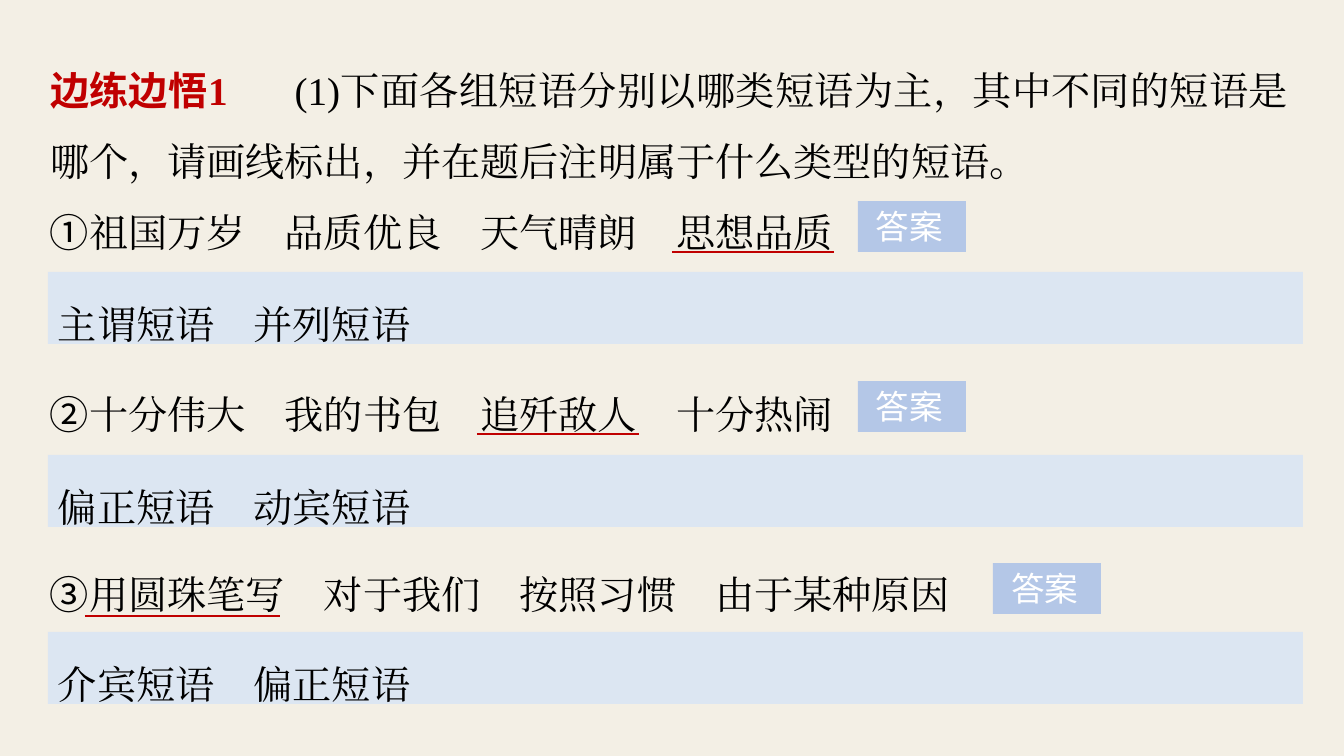
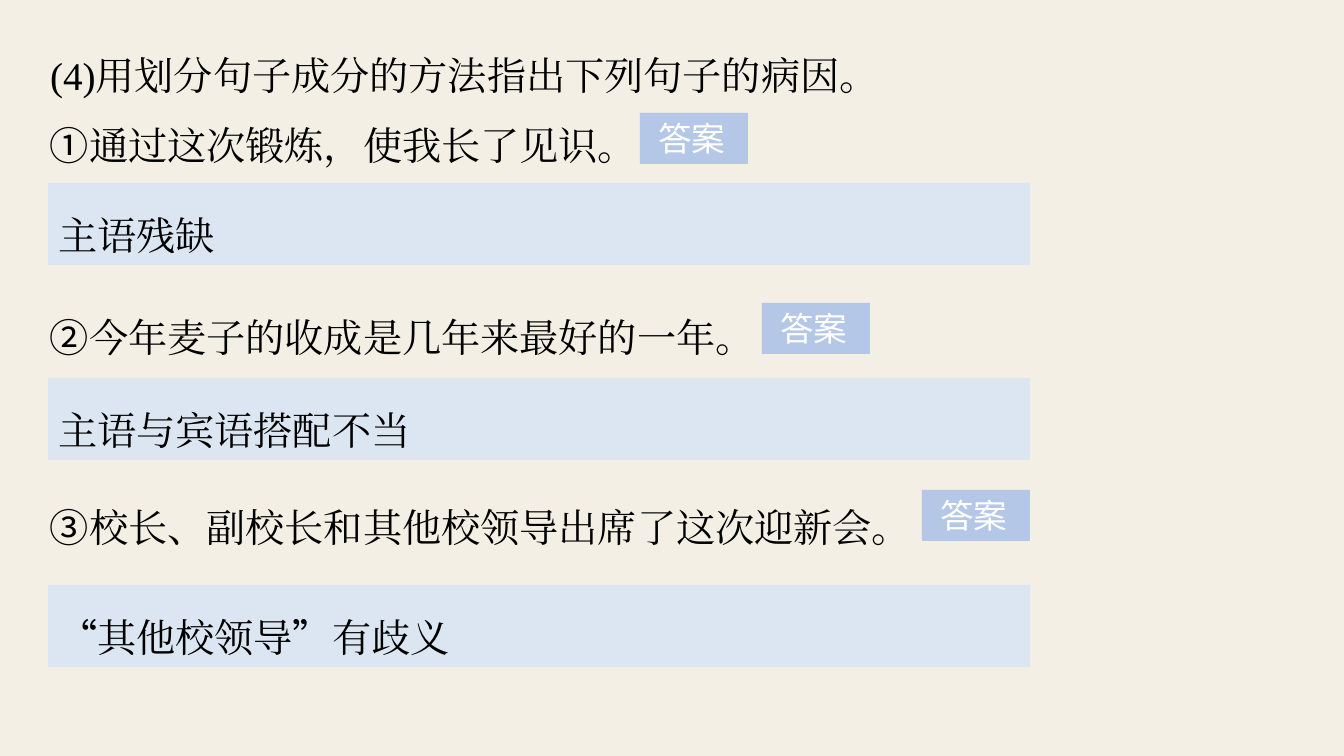
from dataclasses import dataclass
from itertools import groupby

from lxml import etree
from pptx import Presentation
from pptx.dml.color import RGBColor
from pptx.enum.shapes import MSO_CONNECTOR, MSO_SHAPE
from pptx.enum.text import MSO_ANCHOR, MSO_AUTO_SIZE, PP_ALIGN
from pptx.oxml.ns import qn
from pptx.util import Pt

RECT, LINE = MSO_SHAPE.RECTANGLE, MSO_CONNECTOR.STRAIGHT
TOP, NO_FIT = MSO_ANCHOR.TOP, MSO_AUTO_SIZE.NONE
LEFT, JUSTIFY = PP_ALIGN.LEFT, PP_ALIGN.JUSTIFY
TITLE_ONLY = 5
SLIDE_W, SLIDE_H = 1344, 756
EMU_PER_PX = 12192000 / SLIDE_W


@dataclass(frozen=True)
class Theme:
    paper: str = "F3EFE5"
    ink: str = "000000"
    accent: str = "C00000"
    answer: str = "DCE6F2"
    badge: str = "B4C7E7"
    white: str = "FFFFFF"
    body_font: str = "Times New Roman"
    label_font: str = "Arial"
    mark_font: str = "Noto Sans CJK SC"
    body_size: int = 28
    badge_size: int = 24
    line_spacing: float = 1.5
    rule_width: float = 1.5


T = Theme()
MARKS = "①②③“”"
TEXT_X, TEXT_W = 37, 1265
ANSWER_X = 48
BADGE_W, BADGE_H = 108, 51


def px(n):
    return round(n * EMU_PER_PX)


def rgb(value):
    return RGBColor.from_string(value)


# Text helpers
def add_run(p, text, font, size, color, bold=False):
    r = p.add_run()
    r.text = text
    r.font.size, r.font.bold = Pt(size), bold
    r.font.color.rgb = rgb(color)
    r.font.name = font
    ea = etree.SubElement(r.font._element, qn("a:ea"))
    ea.set("typeface", font)


def add_body(p, text):
    """Body text, with numerals in circles and quotes in the mark font."""
    for is_mark, chars in groupby(text, lambda c: c in MARKS):
        font = T.mark_font if is_mark else T.body_font
        add_run(p, "".join(chars), font, T.body_size, T.ink)


def set_frame(sp, inset_x, inset_y, align=JUSTIFY, spacing=T.line_spacing):
    tf = sp.text_frame
    tf.word_wrap, tf.auto_size, tf.vertical_anchor = True, NO_FIT, TOP
    tf.margin_left = tf.margin_right = px(inset_x)
    tf.margin_top = tf.margin_bottom = px(inset_y)
    p = tf.paragraphs[0]
    p.alignment, p.line_spacing = align, spacing
    return p


def add_panel(slide, x, y, w, h, color):
    sp = slide.shapes.add_shape(RECT, px(x), px(y), px(w), px(h))
    sp.shadow.inherit = False
    sp.fill.solid()
    sp.fill.fore_color.rgb = rgb(color)
    sp.line.fill.background()
    return sp


# Question stem
def place_stem(slide, y, h, stem, label=None):
    title = slide.shapes.title
    title.left, title.top = px(TEXT_X), px(y)
    title.width, title.height = px(TEXT_W), px(h)
    p = set_frame(title, 13, 7)
    if label:
        tabs = etree.SubElement(p._p.get_or_add_pPr(), qn("a:tabLst"))
        etree.SubElement(tabs, qn("a:tab"), pos=str(px(243)), algn="l")
        text, number = label
        add_run(p, text, T.label_font, T.body_size, T.accent, True)
        add_run(p, number + "\t", T.body_font, T.body_size, T.accent, True)
    add_body(p, stem)


# Parts of one exercise
def add_question(slide, y, text):
    sp = slide.shapes.add_textbox(px(TEXT_X), px(y), px(TEXT_W), px(85))
    add_body(set_frame(sp, 13, 7), text)


def add_answer(slide, y, w, h, text):
    sp = add_panel(slide, ANSWER_X, y, w, h, T.answer)
    add_body(set_frame(sp, 10, 5), text)


def add_badge(slide, x, y):
    sp = add_panel(slide, x, y, BADGE_W, BADGE_H, T.badge)
    p = set_frame(sp, 18, 5, LEFT, 1.0)
    add_run(p, "答案", T.label_font, T.badge_size, T.white)


def add_underline(slide, x1, x2, y):
    line = slide.shapes.add_connector(LINE, px(x1), px(y), px(x2), px(y))
    line.line.color.rgb = rgb(T.accent)
    line.line.width = Pt(T.rule_width)
    etree.SubElement(line._element.spPr, qn("a:effectLst"))


@dataclass(frozen=True)
class Exercise:
    y: int
    question: str
    answer: str
    badge_x: int
    badge_dy: int
    answer_dy: int
    underline: tuple = ()  # start x, end x, offset from y


def place_exercise(slide, ex, answer_w, answer_h):
    add_question(slide, ex.y, ex.question)
    add_answer(slide, ex.y + ex.answer_dy, answer_w, answer_h, ex.answer)
    add_badge(slide, ex.badge_x, ex.y + ex.badge_dy)
    if ex.underline:
        x1, x2, dy = ex.underline
        add_underline(slide, x1, x2, ex.y + dy)


def exercise_slide(prs, stem, exercises, answer_size):
    slide = prs.slides.add_slide(prs.slide_layouts[TITLE_ONLY])
    place_stem(slide, *stem)
    for ex in exercises:
        place_exercise(slide, ex, *answer_size)


# Content
PHRASE_STEM = (
    36, 155,
    "(1)下面各组短语分别以哪类短语为主，其中不同的短语是哪个，"
    "请画线标出，并在题后注明属于什么类型的短语。",
    ("边练边悟", "1"),
)
PHRASES = [
    Exercise(178, "①祖国万岁　品质优良　天气晴朗　思想品质",
             "主谓短语　并列短语", 858, 23, 94, (672, 834, 74)),
    Exercise(360, "②十分伟大　我的书包　追歼敌人　十分热闹",
             "偏正短语　动宾短语", 858, 21, 95, (477, 639, 74)),
    Exercise(540, "③用圆珠笔写　对于我们　按照习惯　由于某种原因",
             "介宾短语　偏正短语", 993, 23, 92, (85, 280, 76)),
]
SENTENCE_STEM = (21, 85, "(4)用划分句子成分的方法指出下列句子的病因。")
SENTENCES = [
    Exercise(91, "①通过这次锻炼，使我长了见识。",
             "主语残缺", 640, 22, 92),
    Exercise(283, "②今年麦子的收成是几年来最好的一年。",
             "主语与宾语搭配不当", 762, 20, 95),
    Exercise(473, "③校长、副校长和其他校领导出席了这次迎新会。",
             "“其他校领导”有歧义", 922, 17, 112),
]


def main():
    prs = Presentation()
    prs.slide_width, prs.slide_height = px(SLIDE_W), px(SLIDE_H)
    paper = prs.slide_master.background.fill
    paper.solid()
    paper.fore_color.rgb = rgb(T.paper)
    exercise_slide(prs, PHRASE_STEM, PHRASES, (1255, 72))
    exercise_slide(prs, SENTENCE_STEM, SENTENCES, (982, 82))
    prs.save("out.pptx")


if __name__ == "__main__":
    main()
